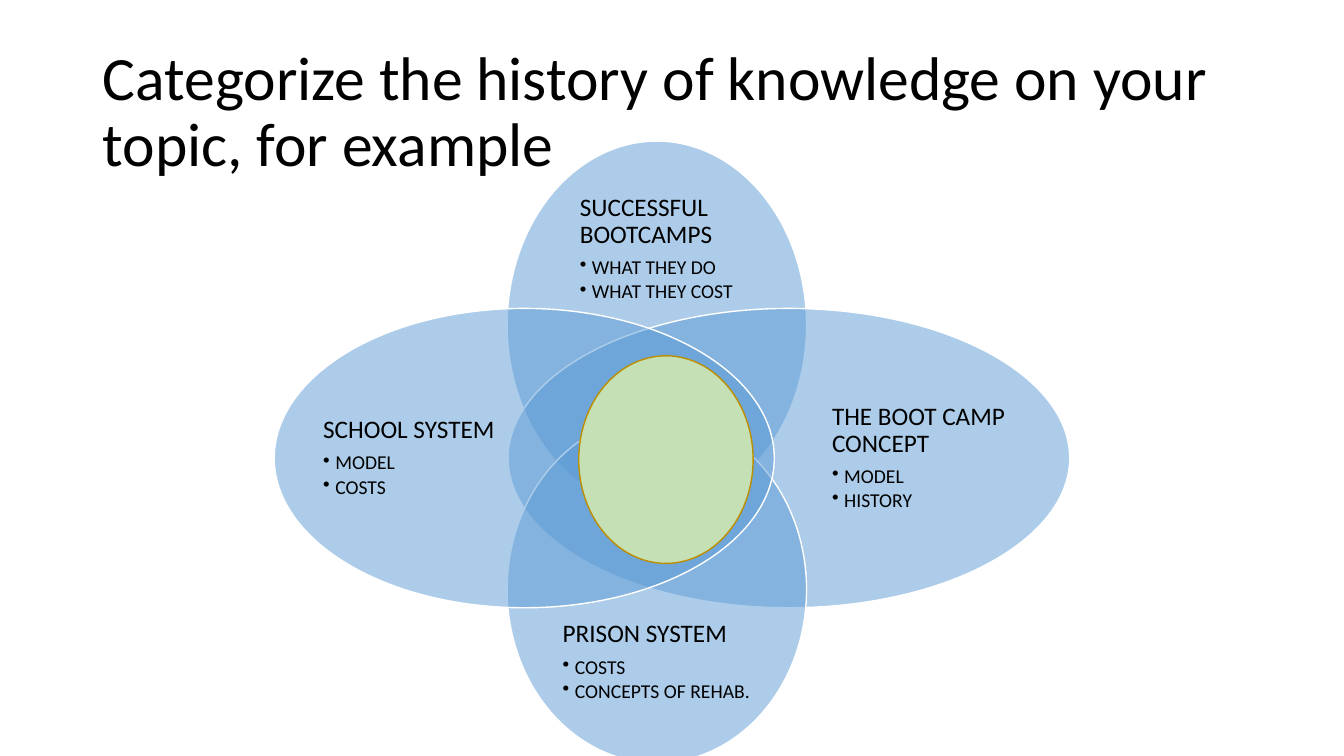
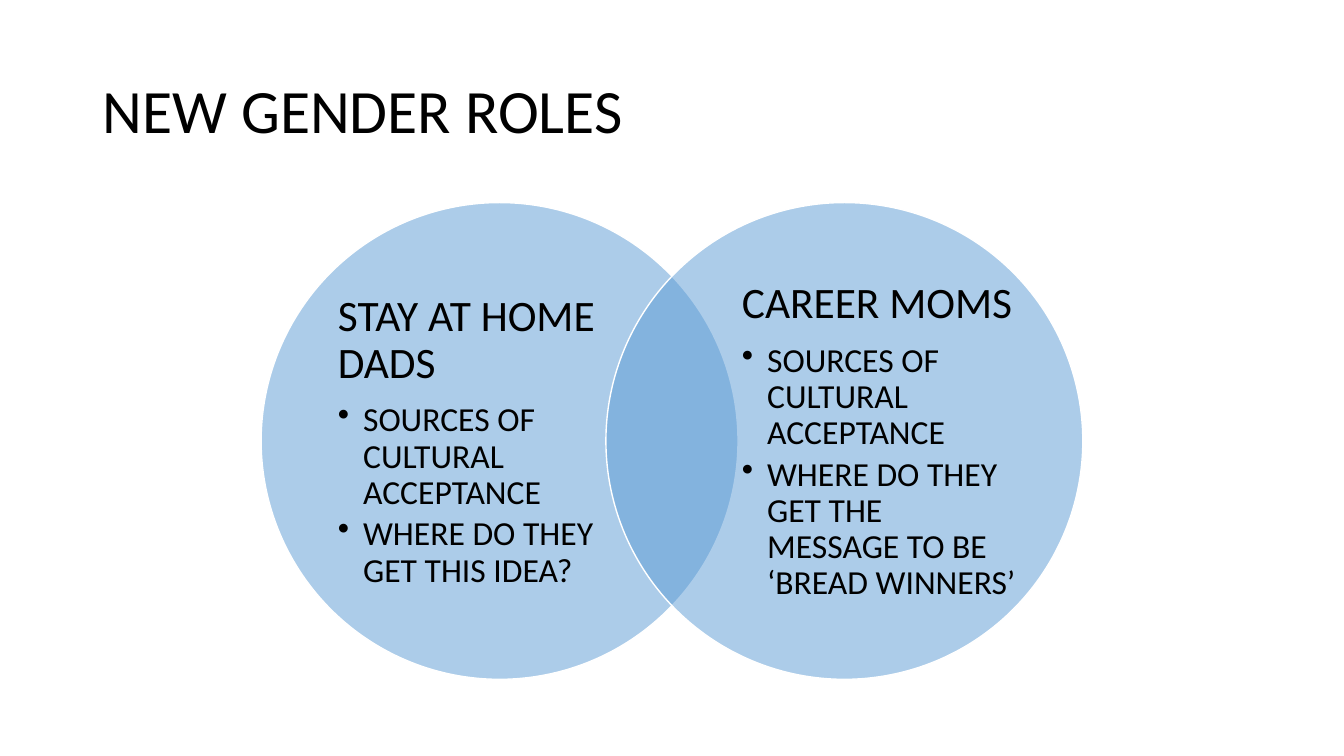
import pptx
import pptx.dml.color
import pptx.enum.shapes
import pptx.enum.text
import pptx.oxml.ns
import pptx.oxml.xmlchemy
import pptx.util

Inches = pptx.util.Inches
Pt = pptx.util.Pt
MIDDLE = pptx.enum.text.MSO_ANCHOR.MIDDLE

FONT = "Calibri"
BLACK = "000000"
WHITE = "FFFFFF"
BLUE = "5B9BD5"
GREEN = "C5E0B4"
GOLD = "BD8E00"
TITLE_BOX = (0.92, 0.4, 11.5, 1.45)

SLIDES = [
    {
        "title": "Categorize the history of knowledge on your topic, for example",
        "sizes": (18, 14),
        "indent": 0.12,
        "sets": [
            ((5.03, 1.4, 2.97, 3.65), (5.37, 1.89, 2.28, 1.16),
             "SUCCESSFUL BOOTCAMPS", ["WHAT THEY DO", "WHAT THEY COST"]),
            ((5.04, 3.06, 5.57, 2.97), (8.04, 3.4, 2.14, 2.28),
             "THE BOOT CAMP CONCEPT", ["MODEL", "HISTORY"]),
            ((5.03, 4.13, 2.97, 3.44), (5.37, 6.02, 2.28, 1.09),
             "PRISON SYSTEM", ["COSTS", "CONCEPTS OF REHAB."]),
            ((2.72, 3.06, 4.96, 2.97), (3.1, 3.4, 1.91, 2.28),
             "SCHOOL SYSTEM", ["MODEL", "COSTS"]),
        ],
        "center": (5.74, 3.53, 1.73, 2.06),
    },
    {
        "title": "NEW GENDER ROLES",
        "sizes": (31, 24),
        "indent": 0.25,
        "sets": [
            ((2.59, 2.01, 4.73, 4.73), (3.26, 2.57, 2.73, 3.62),
             "STAY AT HOME DADS",
             ["SOURCES OF CULTURAL ACCEPTANCE", "WHERE DO THEY GET THIS IDEA?"]),
            ((6.01, 2.01, 4.73, 4.73), (7.35, 2.57, 2.73, 3.62),
             "CAREER MOMS",
             ["SOURCES OF CULTURAL ACCEPTANCE",
              "WHERE DO THEY GET THE MESSAGE TO BE ‘BREAD WINNERS’"]),
        ],
        "center": None,
    },
]


def color(hex_value):
    return pptx.dml.color.RGBColor.from_string(hex_value)


def add_ellipse(slide, box, fill, line):
    shape = slide.shapes.add_shape(
        pptx.enum.shapes.MSO_SHAPE.OVAL, *map(Inches, box))
    shape.shadow.inherit = False
    shape.fill.solid()
    shape.fill.fore_color.rgb = color(fill)
    shape.line.color.rgb = color(line)
    shape.line.width = Pt(1)
    return shape


presentation = pptx.Presentation()
presentation.slide_width = Inches(13.33)
presentation.slide_height = Inches(7.5)

for content in SLIDES:
    slide = presentation.slides.add_slide(presentation.slide_layouts[6])

    title = slide.shapes.add_textbox(*map(Inches, TITLE_BOX)).text_frame
    title.word_wrap = True
    title.vertical_anchor = MIDDLE
    paragraph = title.paragraphs[0]
    paragraph.text = content["title"]
    paragraph.line_spacing = 0.9
    paragraph.font.name = FONT
    paragraph.font.size = Pt(44)
    paragraph.font.color.rgb = color(BLACK)

    heading_size, bullet_size = content["sizes"]
    indent = Inches(content["indent"])
    for ellipse_box, text_box, heading, bullets in content["sets"]:
        ellipse = add_ellipse(slide, ellipse_box, BLUE, WHITE)
        fill_color = ellipse.element.spPr.find(".//" + pptx.oxml.ns.qn("a:srgbClr"))
        alpha = pptx.oxml.xmlchemy.OxmlElement("a:alpha")
        alpha.set("val", "50000")
        fill_color.append(alpha)

        label = slide.shapes.add_textbox(*map(Inches, text_box))
        frame = label.text_frame
        frame.word_wrap = True
        frame.vertical_anchor = MIDDLE
        frame.margin_left = frame.margin_right = 0
        frame.margin_top = frame.margin_bottom = 0
        label.element.txBody.bodyPr.set("anchorCtr", "1")
        frame.text = "\n".join([heading, *bullets])
        for index, paragraph in enumerate(frame.paragraphs):
            size, gap = (bullet_size, 0.15) if index else (heading_size, 0.35)
            paragraph.line_spacing = 0.9
            paragraph.space_after = Pt(size * gap)
            paragraph.font.name = FONT
            paragraph.font.size = Pt(size)
            paragraph.font.color.rgb = color(BLACK)
            if index:
                paragraph.level = 1
                properties = label.element.txBody.p_lst[index].get_or_add_pPr()
                properties.set("marL", str(indent))
                properties.set("indent", str(-indent))
                bullet = pptx.oxml.xmlchemy.OxmlElement("a:buChar")
                bullet.set("char", "•")
                properties.insert_element_before(bullet, "a:tabLst", "a:defRPr", "a:extLst")

    if content["center"]:
        add_ellipse(slide, content["center"], GREEN, GOLD)

presentation.save("out.pptx")
